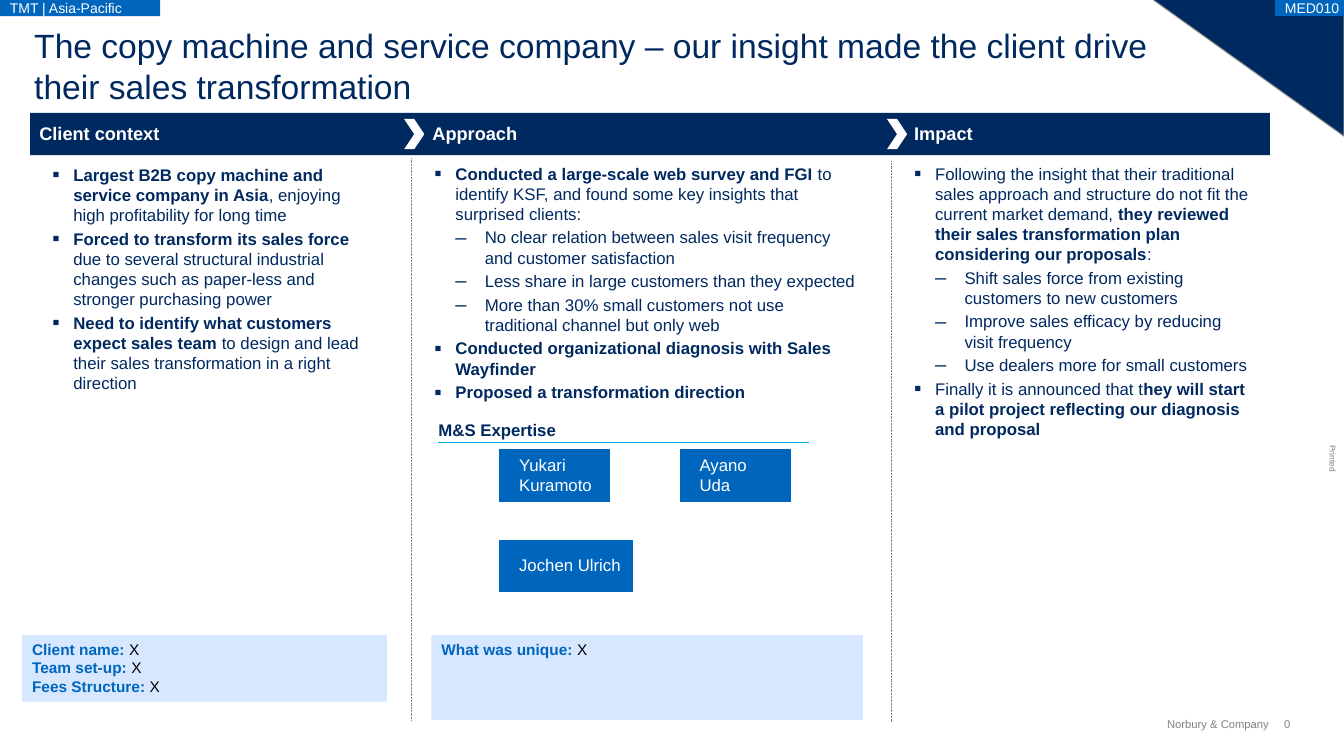
from dataclasses import dataclass

from lxml.etree import SubElement
from pptx import Presentation
from pptx.dml.color import RGBColor
from pptx.enum.dml import MSO_LINE
from pptx.enum.shapes import MSO_CONNECTOR, MSO_SHAPE
from pptx.enum.text import MSO_ANCHOR, PP_ALIGN
from pptx.oxml.ns import qn
from pptx.shapes.autoshape import Shape
from pptx.util import Pt


@dataclass(frozen=True)
class Theme:
    font: str = "Arial"
    navy: str = "002960"
    blue: str = "0065BD"
    cyan: str = "00ADEF"
    pale: str = "D6E7FF"
    gray: str = "808080"
    white: str = "FFFFFF"
    black: str = "000000"
    title: float = 24
    head: float = 13
    body: float = 12
    note: float = 11
    tag: float = 10
    foot: float = 8
    print: float = 6


T = Theme()


@dataclass(frozen=True)
class Box:
    left: float
    top: float
    width: float
    height: float


@dataclass(frozen=True)
class Style:
    size: float
    color: str
    strong: str = ""  # colour of bold text, if it differs
    anchor: MSO_ANCHOR = MSO_ANCHOR.TOP
    align: PP_ALIGN = PP_ALIGN.LEFT
    wrap: bool = True
    inset: tuple[float, float, float, float] = (0, 0, 0, 0)


@dataclass(frozen=True)
class Mark:
    char: str
    left: float
    hang: float
    scale: int


@dataclass(frozen=True)
class Item:
    """A shape with text; ** switches bold on and off."""
    box: Box
    text: str
    style: Style
    fill: str = ""
    line: str = ""
    turn: float = 0


@dataclass(frozen=True)
class Rule:
    left: float
    top: float
    right: float
    bottom: float
    color: str
    width: float
    dash: MSO_LINE | None = None


MARKS = (Mark("▪", 15, 15, 125), Mark("–", 36, 21, 120))

BODY = Style(T.body, T.navy)
HEAD = Style(T.head, T.white, anchor=MSO_ANCHOR.BOTTOM, inset=(0, 0, 0, 1.4))
CARD = Style(T.body, T.white, anchor=MSO_ANCHOR.MIDDLE, inset=(13.7, 0, 0, 2))
TAG = Style(T.tag, T.white, anchor=MSO_ANCHOR.MIDDLE, wrap=False, inset=(7.2, 0, 0, 0))
NOTE = Style(T.note, T.black, T.blue, inset=(7.2, 3.6, 7.2, 3.6))
FOOT = Style(T.foot, T.gray, anchor=MSO_ANCHOR.MIDDLE, wrap=False)
RIGHT = Style(T.foot, T.gray, anchor=MSO_ANCHOR.MIDDLE, align=PP_ALIGN.RIGHT, wrap=False)

ITEMS = (
    # Footer and print mark
    Item(Box(942.5, 324, 19.4, 7.2), "Printed", Style(T.print, T.gray, wrap=False), turn=90),
    Item(Box(917.3, 512.6, 10, 9.4), "0", FOOT),
    Item(Box(825, 512.6, 81.5, 9.4), "Norbury & Company", RIGHT),
    # Title and corner tags
    Item(Box(24.5, 18, 808, 58.3), "The copy machine and service company – our insight "
         "made the client drive their sales transformation", Style(T.title, T.navy)),
    Item(Box(0, 0, 114.5, 11.5), "TMT | Asia-Pacific", TAG, T.blue),
    Item(Box(910.8, 0, 49.2, 11.5), "MED010", TAG, T.blue),
    # Column heads
    Item(Box(28.1, 87.1, 209.5, 17.3), "**Client context**", HEAD),
    Item(Box(308.9, 87.1, 251.3, 17.3), "**Approach**", HEAD),
    Item(Box(653, 87.1, 228.2, 17.3), "**Impact**", HEAD),
    # Expert cards
    Item(Box(313.2, 299.5, 265, 14.4), "**M&S Expertise**",
         Style(T.body, T.navy, anchor=MSO_ANCHOR.MIDDLE)),
    Item(Box(357.1, 321.1, 78.5, 37.4), "Yukari Kuramoto", CARD, T.blue, T.blue),
    Item(Box(486, 321.1, 78.5, 37.4), "Ayano\nUda", CARD, T.blue, T.blue),
    Item(Box(357.1, 385.9, 95, 36.7), "Jochen Ulrich", CARD, T.blue, T.blue),
    # Notes
    Item(Box(15.8, 453.6, 260.6, 47.5), "**Client name: **X\n**Team set-up: **X\n"
         "**Fees Structure: **X", NOTE, T.pale),
    Item(Box(308.2, 453.6, 308.2, 60.5), "**What was unique: **X", NOTE, T.pale),
)

# Column lists; a leading tab marks the second level
LISTS = (
    (Box(37.4, 117.4, 231.8, 165.6), (
        "**Largest B2B copy machine and service company in Asia**, enjoying high "
        "profitability for long time",
        "**Forced to transform its sales force** due to several structural industrial "
        "changes such as paper-less and stronger purchasing power",
        "**Need to identify what customers expect sales team **to design and lead their "
        "sales transformation in a right direction")),
    (Box(310.3, 116.6, 301.7, 174.2), (
        "**Conducted a large-scale web survey and FGI** to identify KSF, and found some "
        "key insights that surprised clients:",
        "\tNo clear relation between sales visit frequency and customer satisfaction",
        "\tLess share in large customers than they expected",
        "\tMore than 30% small customers not use traditional channel but only web",
        "**Conducted organizational diagnosis with Sales Wayfinder**",
        "**Proposed a transformation direction**")),
    (Box(653, 116.6, 241.9, 218.2), (
        "Following the insight that their traditional sales approach and structure do not "
        "fit the current market demand, **they reviewed their sales transformation plan "
        "considering our proposals**:",
        "\tShift sales force from existing customers to new customers",
        "\tImprove sales efficacy by reducing visit frequency",
        "\tUse dealers more for small customers",
        "Finally it is announced that t**hey will start a pilot project reflecting our "
        "diagnosis and proposal**")),
)

RULES = (
    Rule(313.2, 316.1, 578.2, 316.1, T.cyan, 0.75),
    Rule(293.8, 113, 293.8, 514.1, T.gray, 0.5, MSO_LINE.ROUND_DOT),
    Rule(636.5, 115.2, 636.5, 516.2, T.gray, 0.5, MSO_LINE.ROUND_DOT),
)


def draw_shape(slide, kind: MSO_SHAPE, box: Box, fill: str, line: str = "") -> Shape:
    shape = slide.shapes.add_shape(
        kind, Pt(box.left), Pt(box.top), Pt(box.width), Pt(box.height))
    shape.shadow.inherit = False
    shape.fill.solid()
    shape.fill.fore_color.rgb = RGBColor.from_string(fill)
    if line:
        shape.line.color.rgb = RGBColor.from_string(line)
        shape.line.width = Pt(0.75)
    else:
        shape.line.fill.background()
    return shape


def write(shape: Shape, lines: tuple[str, ...], style: Style) -> None:
    frame = shape.text_frame
    frame.word_wrap = style.wrap
    frame.vertical_anchor = style.anchor
    (frame.margin_left, frame.margin_top,
     frame.margin_right, frame.margin_bottom) = map(Pt, style.inset)
    for index, line in enumerate(lines):
        para = frame.paragraphs[0] if index == 0 else frame.add_paragraph()
        para.alignment = style.align
        parts = [(text, odd % 2 == 1) for odd, text in enumerate(line.split("**")) if text]
        para.text = parts[0][0]
        for text, _ in parts[1:]:
            para.add_run().text = text
        for run, (_, bold) in zip(para.runs, parts):
            color = style.strong if bold and style.strong else style.color
            run.font.name = T.font
            run.font.size = Pt(style.size)
            run.font.bold = bold
            run.font.color.rgb = RGBColor.from_string(color)


def draw_item(slide, item: Item) -> Shape:
    box = item.box
    if item.fill:
        shape = draw_shape(slide, MSO_SHAPE.RECTANGLE, box, item.fill, item.line)
    else:
        shape = slide.shapes.add_textbox(
            Pt(box.left), Pt(box.top), Pt(box.width), Pt(box.height))
    shape.rotation = item.turn
    write(shape, tuple(item.text.split("\n")), item.style)
    return shape


def draw_list(slide, box: Box, lines: tuple[str, ...]) -> None:
    shape = draw_item(slide, Item(box, "\n".join(line.lstrip("\t") for line in lines), BODY))
    for index, (para, line) in enumerate(zip(shape.text_frame.paragraphs, lines)):
        para.level = int(line.startswith("\t"))
        mark = MARKS[para.level]
        para.space_before = Pt(2.4 if index else 0)
        props = para._p.get_or_add_pPr()
        props.set("marL", str(Pt(mark.left)))
        props.set("indent", str(-Pt(mark.hang)))
        SubElement(SubElement(props, qn("a:buClr")), qn("a:srgbClr"), val=T.navy)
        SubElement(props, qn("a:buSzPct"), val=str(mark.scale * 1000))
        SubElement(props, qn("a:buFont"), typeface=T.font)
        SubElement(props, qn("a:buChar"), char=mark.char)


def draw_rule(slide, rule: Rule) -> None:
    line = slide.shapes.add_connector(
        MSO_CONNECTOR.STRAIGHT, Pt(rule.left), Pt(rule.top), Pt(rule.right), Pt(rule.bottom))
    line.line.color.rgb = RGBColor.from_string(rule.color)
    line.line.width = Pt(rule.width)
    if rule.dash:
        line.line.dash_style = rule.dash
    SubElement(line._element.spPr, qn("a:effectLst"))


def main() -> None:
    deck = Presentation()
    deck.slide_width, deck.slide_height = Pt(960), Pt(529.2)
    slide = deck.slides.add_slide(deck.slide_layouts[6])
    # Corner and header band
    corner = draw_shape(slide, MSO_SHAPE.ISOSCELES_TRIANGLE,
                        Box(823, -0.7, 137, 97.9), T.navy, T.gray)
    corner.adjustments[0] = 0
    corner.rotation = 180
    draw_shape(slide, MSO_SHAPE.RECTANGLE, Box(21.6, 80.6, 885.6, 30.2), T.navy)
    for left in (288.7, 633.6):
        draw_shape(slide, MSO_SHAPE.CHEVRON, Box(left, 85, 14.4, 21.6), T.white)
    # Text and lines
    for item in ITEMS:
        draw_item(slide, item)
    for box, lines in LISTS:
        draw_list(slide, box, lines)
    for rule in RULES:
        draw_rule(slide, rule)
    deck.save("out.pptx")


if __name__ == "__main__":
    main()
